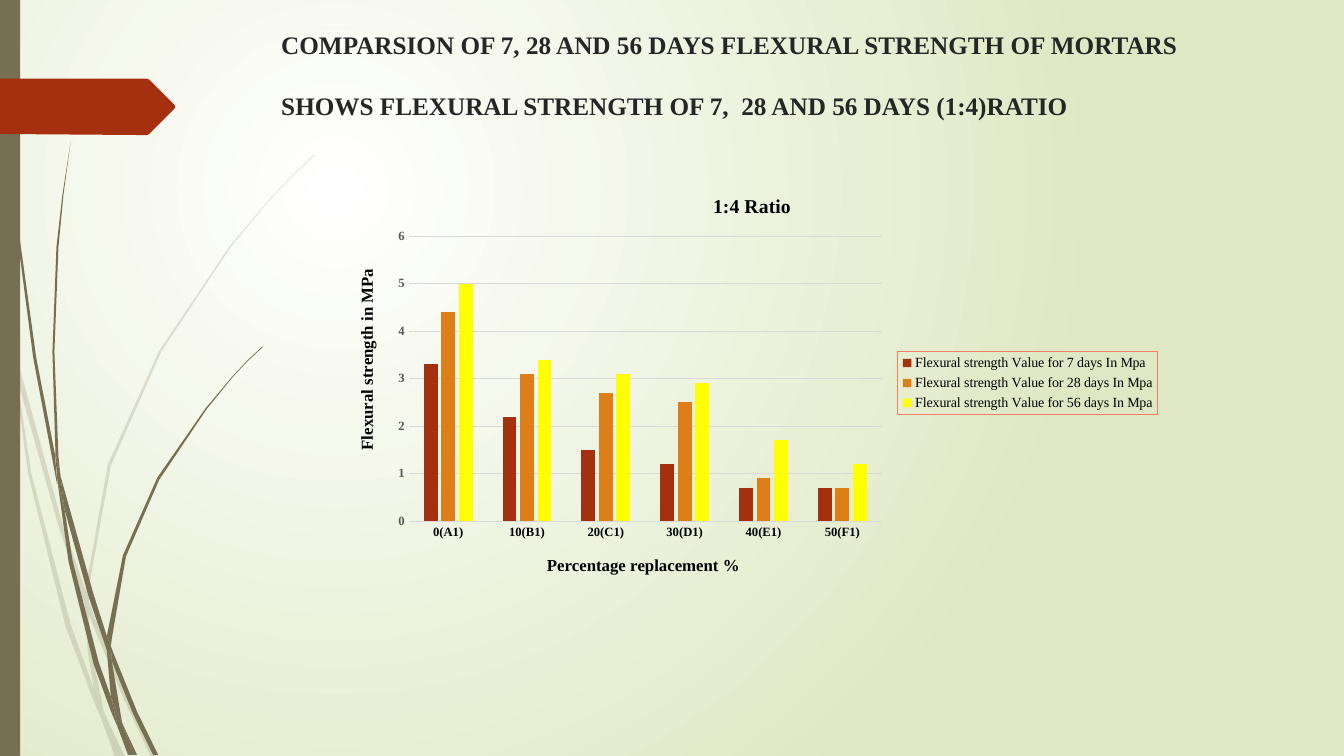
"""Build the slide comparing flexural strength of 1:4 mortars after 7, 28 and 56 days."""
from dataclasses import dataclass

from pptx import Presentation
from pptx.chart.data import CategoryChartData
from pptx.dml.color import RGBColor
from pptx.enum.chart import XL_CHART_TYPE, XL_LEGEND_POSITION, XL_TICK_MARK
from pptx.enum.shapes import MSO_SHAPE
from pptx.enum.text import MSO_ANCHOR, MSO_AUTO_SIZE, PP_ALIGN
from pptx.oxml import parse_xml
from pptx.oxml.ns import nsdecls, qn
from pptx.util import Pt


@dataclass(frozen=True)
class Theme:
    font: str = "Times New Roman"
    chart_font: str = "League Spartan"
    stem: str = "766F54"
    arrow: str = "A53010"
    glow: str = "FFFFFF"
    edge: str = "DFE8C4"
    heading: str = "262626"
    ink: str = "000000"
    muted: str = "595959"
    rule: str = "D9D9D9"
    legend_line: str = "F07F65"
    series: tuple = ("A53010", "DE7E18", "FFFF00")
    title_size: int = 18
    chart_title_size: int = 14
    axis_title_size: int = 12
    legend_size: int = 10
    tick_size: int = 9
    hairline: float = 0.75


PALE_STEMS = (
    ((11, 350), (9, 322), (0, 282), (0, 299), (10, 344)),
    ((58, 522), (84, 599), (85, 586), (62, 520), (14, 345), (17, 376)),
    ((92, 607), (88, 596), (88, 610), (123, 694), (150, 751), (155, 751), (127, 692)),
    ((119, 751), (124, 751), (105, 711)),
    ((93, 683), (70, 619), (31, 469), (17, 376), (11, 350), (28, 470), (65, 621),
     (92, 693), (101, 714), (99, 707)),
    ((84, 599), (87, 646), (93, 683), (96, 692), (105, 711), (103, 706), (91, 646),
     (88, 610), (88, 608)),
    ((88, 584), (110, 462), (160, 349), (229, 245), (268, 198), (290, 175), (312, 154),
     (312, 153), (289, 175), (268, 197), (228, 244), (158, 348), (107, 461), (85, 584),
     (85, 586), (88, 596)),
    ((101, 714), (114, 751), (119, 751)),
    ((88, 608), (88, 610), (88, 596), (85, 586), (84, 599)),
    ((96, 692), (93, 683), (99, 707), (101, 714), (119, 751), (105, 711)),
)
DARK_STEMS = (
    ((7, 110), (17, 233), (33, 355), (56, 477), (57, 481), (55, 457), (55, 453),
     (36, 355), (19, 232), (8, 109), (5, 48), (4, 0), (3, 0), (4, 48)),
    ((88, 592), (106, 645), (106, 633), (106, 631), (93, 590), (60, 472), (64, 505)),
    ((113, 649), (110, 641), (111, 656), (132, 708), (152, 749), (157, 749), (136, 706)),
    ((110, 691), (98, 657), (72, 556), (64, 505), (57, 477), (68, 557), (93, 659),
     (111, 708), (117, 722), (116, 717)),
    ((60, 472), (58, 453), (54, 349), (58, 245), (63, 193), (70, 141), (62, 193),
     (56, 245), (52, 349), (55, 449)),
    ((133, 749), (136, 749), (122, 719)),
    ((57, 477), (64, 505), (60, 472), (55, 449), (55, 453)),
    ((111, 633), (125, 552), (158, 476), (205, 406), (231, 374), (245, 359), (261, 344),
     (260, 344), (245, 358), (231, 373), (204, 405), (156, 474), (122, 551), (106, 631),
     (110, 641)),
    ((117, 722), (127, 749), (131, 749)),
    ((106, 645), (110, 691), (116, 706), (122, 719), (121, 716), (111, 656), (109, 651)),
    ((106, 645), (109, 651), (111, 656), (110, 641), (106, 631), (106, 633)),
    ((116, 706), (110, 691), (116, 717), (117, 722), (130, 749), (133, 749), (122, 719)),
)
ARROW = ((0, 78), (146, 78), (148, 79), (173, 104), (174, 106), (173, 108), (148, 133),
         (146, 134), (136, 134), (0, 133))

HEADING = ("COMPARSION OF 7, 28 AND 56 DAYS FLEXURAL STRENGTH OF MORTARS",
           "SHOWS FLEXURAL STRENGTH OF 7,  28 AND 56 DAYS (1:4)RATIO")
MIXES = ("0(A1)", "10(B1)", "20(C1)", "30(D1)", "40(E1)", "50(F1)")
STRENGTHS = {
    7: (3.3, 2.2, 1.5, 1.2, 0.7, 0.7),
    28: (4.4, 3.1, 2.7, 2.5, 0.9, 0.7),
    56: (5, 3.4, 3.1, 2.9, 1.7, 1.2),
}


class SlideBuilder:
    def __init__(self, s, theme):
        self.s, self.theme = s, theme

    def background(self):
        fill = self.s.background.fill
        fill.gradient()
        for stop, color in zip(fill.gradient_stops, (self.theme.glow, self.theme.edge)):
            stop.color.rgb = RGBColor.from_string(color)
        grad = self.s.element.find(".//" + qn("a:gradFill"))
        grad.replace(grad.find(qn("a:lin")), parse_xml(
            f'<a:path {nsdecls("a")} path="circle">'
            '<a:fillToRect l="50000" t="50000" r="100000" b="100000"/></a:path>'))

    def paint(self, sp, color, alpha=100):
        sp.shadow.inherit = False
        sp.fill.solid()
        sp.fill.fore_color.rgb = RGBColor.from_string(color)
        sp.line.fill.background()
        if alpha < 100:
            sp._element.spPr.find(".//" + qn("a:srgbClr")).append(
                parse_xml(f'<a:alpha {nsdecls("a")} val="{alpha * 1000}"/>'))

    def outline(self, points, color, alpha=100):
        builder = self.s.shapes.build_freeform(*points[0], scale=Pt(0.72))
        builder.add_line_segments(points[1:], close=True)
        self.paint(builder.convert_to_shape(), color, alpha)

    def bar(self, x, y, w, h, color):
        box = (Pt(v) for v in (x, y, w, h))
        self.paint(self.s.shapes.add_shape(MSO_SHAPE.RECTANGLE, *box), color)

    def style(self, font, size, color, bold=True):
        font.name, font.size, font.bold = self.theme.font, Pt(size), bold
        font.color.rgb = RGBColor.from_string(color)

    def title(self, lines, x, y, w, h):
        sp = self.s.shapes.title
        sp.left, sp.top, sp.width, sp.height = (Pt(v) for v in (x, y, w, h))
        tf = sp.text_frame
        tf.text = "\n".join(lines)
        tf.word_wrap, tf.auto_size = True, MSO_AUTO_SIZE.NONE
        tf.vertical_anchor, tf.margin_top = MSO_ANCHOR.TOP, Pt(5)
        for i, p in enumerate(tf.paragraphs):
            p.alignment, p.line_spacing = PP_ALIGN.LEFT, 1.0
            p.space_before = Pt(22 if i else 0)
            self.style(p.runs[0].font, self.theme.title_size, self.theme.heading)

    def place(self, element, index, inner=False, **box):
        for old in element.findall(qn("c:layout")):
            element.remove(old)
        target = '<c:layoutTarget val="inner"/>' if inner else ""
        modes = "".join(f'<c:{k}Mode val="edge"/>' for k in "xy")
        sizes = "".join(f'<c:{k} val="{v}"/>' for k, v in box.items())
        element.insert(index, parse_xml(
            f'<c:layout {nsdecls("c")}><c:manualLayout>{target}{modes}{sizes}'
            '</c:manualLayout></c:layout>'))

    def chart_text(self, holder, text, size, x, y):
        tf = holder.text_frame
        tf.text = text
        self.style(tf.paragraphs[0].runs[0].font, size, self.theme.ink)
        self.place(holder._element, 1, x=x, y=y)

    def chart(self, x, y, w, h):
        t = self.theme
        data = CategoryChartData()
        data.categories = MIXES
        for days, values in STRENGTHS.items():
            data.add_series(f"Flexural strength Value for {days} days In Mpa", values)
        box = (Pt(v) for v in (x, y, w, h))
        chart = self.s.shapes.add_chart(XL_CHART_TYPE.COLUMN_CLUSTERED, *box, data).chart
        chart.font.name, chart.font.size = t.chart_font, Pt(t.legend_size)
        self.chart_text(chart.chart_title, "1:4 Ratio", t.chart_title_size, 0.45, 0.04)
        plot = chart.plots[0]
        plot.gap_width, plot.overlap, plot.vary_by_categories = 219, -27, False
        for series, color in zip(plot.series, t.series):
            series.format.fill.solid()
            series.format.fill.fore_color.rgb = RGBColor.from_string(color)
        cat, val = chart.category_axis, chart.value_axis
        for axis, color in ((cat, t.ink), (val, t.muted)):
            axis.major_tick_mark = axis.minor_tick_mark = XL_TICK_MARK.NONE
            self.style(axis.tick_labels.font, t.tick_size, color)
        self.chart_text(cat.axis_title, "Percentage replacement %", t.axis_title_size, 0.25, 0.9)
        self.chart_text(val.axis_title, "Flexural strength in MPa", t.axis_title_size, 0.02, 0.22)
        val.minimum_scale, val.maximum_scale, val.major_unit = 0, 6, 1
        val.format.line.fill.background()
        for line in (cat.format.line, val.major_gridlines.format.line):
            line.color.rgb, line.width = RGBColor.from_string(t.rule), Pt(t.hairline)
        self.legend(chart)
        space = chart._chartSpace
        area = space.find(".//" + qn("c:plotArea"))
        self.place(area, 0, inner=True, x=0.087, y=0.15, w=0.571, h=0.678)
        clear = f'<c:spPr {nsdecls("c", "a")}><a:noFill/><a:ln><a:noFill/></a:ln></c:spPr>'
        area.append(parse_xml(clear))
        space.find(qn("c:txPr")).addprevious(parse_xml(clear))

    def legend(self, chart):
        t = self.theme
        chart.has_legend = True
        legend = chart.legend
        legend.position, legend.include_in_layout = XL_LEGEND_POSITION.RIGHT, False
        self.style(legend.font, t.legend_size, t.ink, bold=False)
        self.place(legend._element, 1, x=0.677, y=0.423, w=0.314, h=0.152)
        legend._element.find(qn("c:txPr")).addprevious(parse_xml(
            f'<c:spPr {nsdecls("c", "a")}><a:noFill/><a:ln w="{Pt(t.hairline)}"><a:solidFill>'
            f'<a:srgbClr val="{t.legend_line}"/></a:solidFill></a:ln></c:spPr>'))


def main():
    prs = Presentation()
    prs.slide_width, prs.slide_height = Pt(960), Pt(540)
    theme = Theme()
    slide = SlideBuilder(prs.slides.add_slide(prs.slide_layouts[5]), theme)
    slide.background()
    for stems, alpha in ((PALE_STEMS, 20), (DARK_STEMS, 100)):
        for points in stems:
            slide.outline(points, theme.stem, alpha)
    slide.bar(0, 0, 14.4, 540, theme.stem)
    slide.outline(ARROW, theme.arrow)
    slide.title(HEADING, 193.7, 15.8, 702, 63.4)
    slide.chart(240.5, 123.8, 591.8, 300.2)
    prs.save("out.pptx")


if __name__ == "__main__":
    main()
